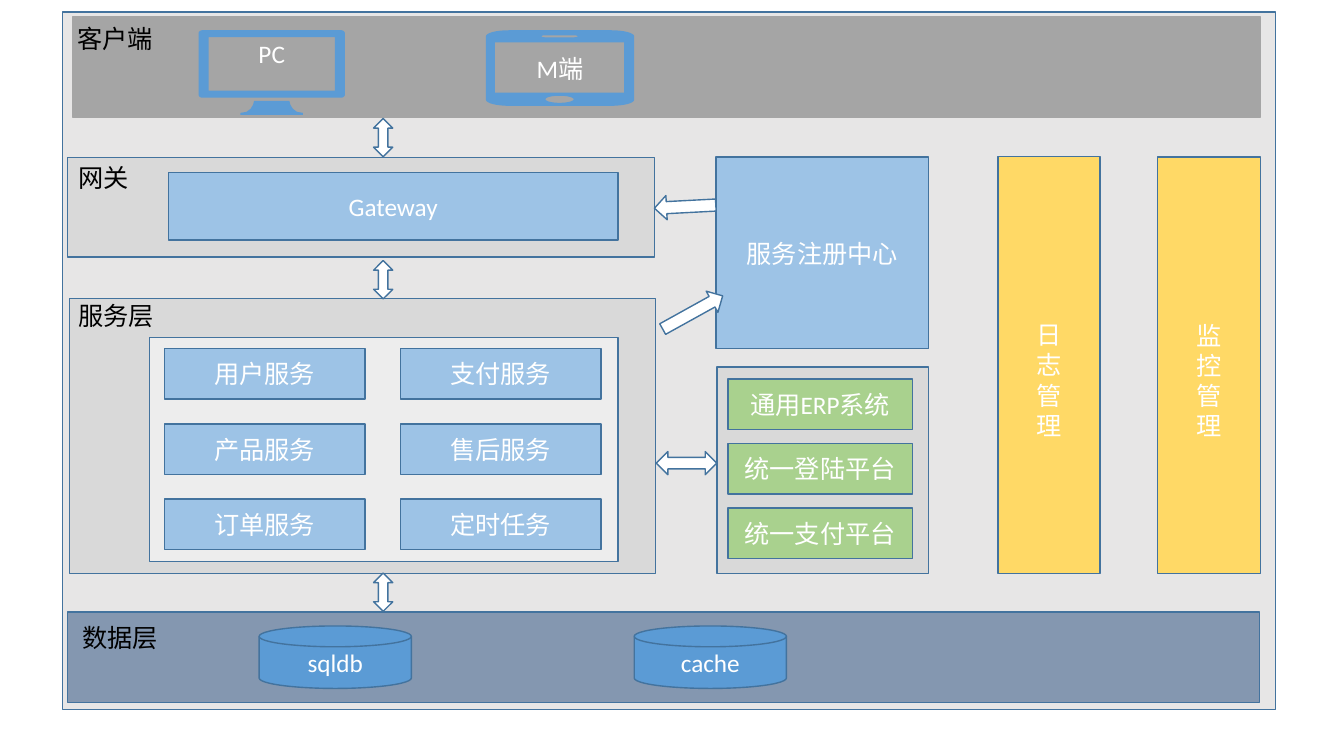
from math import cos, pi, sin

from pptx import Presentation
from pptx.dml.color import RGBColor
from pptx.enum.shapes import MSO_SHAPE
from pptx.enum.text import MSO_ANCHOR, PP_ALIGN
from pptx.util import Emu, Inches, Pt

CELL = Inches(0.1)
EDGE, WHITE, BLUE, SKY = "43739E", "FFFFFF", "5B9BD5", "9DC3E6"
GREY, GREEN, GOLD, SLATE = "D9D9D9", "A9D18E", "FFD966", "8497B0"
RECT, STEP, DISK = MSO_SHAPE.RECTANGLE, MSO_SHAPE.FLOWCHART_PROCESS, MSO_SHAPE.FLOWCHART_MAGNETIC_DISK
BOTH, RIGHT = MSO_SHAPE.LEFT_RIGHT_ARROW, MSO_SHAPE.RIGHT_ARROW


def color(code):
    """Turn a hex string into a colour."""
    return RGBColor.from_string(code)


def grid(*cells):
    """Turn grid cells into lengths."""
    return [Emu(round(cell * CELL)) for cell in cells]


def write(shape, text, code=WHITE, align=PP_ALIGN.CENTER):
    """Put formatted text into a shape."""
    frame = shape.text_frame
    frame.word_wrap = True
    frame.text = text
    for line in frame.paragraphs:
        line.alignment = align
        for run in line.runs:
            run.font.size, run.font.name = Pt(18), "Calibri"
            run.font.color.rgb = color(code)


def paint(shape, fill, edge=EDGE, text=""):
    """Set fill, line and centred text."""
    shape.shadow.inherit = False
    shape.fill.solid()
    shape.fill.fore_color.rgb = color(fill)
    if edge:
        shape.line.color.rgb = color(edge)
        shape.line.width = Pt(1)
    else:
        shape.line.fill.background()
    shape.text_frame.vertical_anchor = MSO_ANCHOR.MIDDLE
    if text:
        write(shape, text)


def box(slide, area, fill, text="", kind=RECT, edge=EDGE):
    """Add a filled preset shape."""
    shape = slide.shapes.add_shape(kind, *grid(*area))
    paint(shape, fill, edge, text)
    return shape


def label(slide, left, top, text):
    """Add the name of a layer."""
    shape = slide.shapes.add_textbox(*grid(left, top, 16.3, 4))
    write(shape, text, "000000", PP_ALIGN.LEFT)


def pillar(slide, area, text):
    """Add a tall box with one character a line."""
    shape = box(slide, area, GOLD, "\n".join(text), STEP)
    shape.text_frame.margin_top = Inches(0.35)


def arrow(slide, area, kind=BOTH, turn=0):
    """Add a white block arrow."""
    box(slide, area, WHITE, kind=kind).rotation = turn


def loop(left, top, wide, high, rx=0, ry=0):
    """List the points of a box with rounded corners."""
    hubs = [(left + wide - rx, top + high - ry), (left + rx, top + high - ry),
            (left + rx, top + ry), (left + wide - rx, top + ry)]
    steps = range(9) if rx else [0]
    return [(x + rx * cos((n + k / 8) * pi / 2), y + ry * sin((n + k / 8) * pi / 2))
            for n, (x, y) in enumerate(hubs) for k in steps]


def device(slide, loops, text):
    """Add an outline with holes."""
    paths = [[grid(*spot) for spot in path] for path in loops]
    pen = slide.shapes.build_freeform(*paths[0][0])
    for n, path in enumerate(paths):
        if n:
            pen.move_to(*path[0])
        pen.add_line_segments(path[1:], close=True)
    shape = pen.convert_to_shape()
    paint(shape, BLUE, None, text)
    return shape


def clients(slide):
    """Draw the desktop and the tablet."""
    mid = 26.95
    half = [(1.75, 10), (1.85, 10.4), (2.1, 10.8), (2.5, 11.1), (3.1, 11.2), (3.1, 11.4)]
    stand = [(mid + x, y) for x, y in half] + [(mid - x, y) for x, y in reversed(half)]
    screen = [loop(19.7, 3, 14.5, 6.7, 0.4, 0.3), loop(20.7, 3.7, 12.5, 5.3)[::-1]]
    desk = device(slide, screen + [stand], "PC")
    desk.text_frame.margin_bottom = Inches(0.43)
    holes = [loop(49.1, 4.2, 12.8, 5), loop(53.7, 3.5, 3.6, 0.2, 0.4, 0.1),
             loop(54.1, 9.5, 2.8, 0.7, 1.4, 0.35)]
    device(slide, [loop(48.2, 3, 14.7, 7.5, 2.3, 0.6)] + [h[::-1] for h in holes], "M端")


def layers(slide):
    """Draw the background and the four layers."""
    box(slide, (6.2, 1.2, 120.3, 69.2), "E7E6E6")
    box(slide, (7.2, 1.7, 117.8, 9.9), "A5A5A5", kind=STEP, edge="A5A5A5")
    for area, fill in [((6.7, 15.6, 58.2, 9.9), GREY), ((6.9, 29.6, 58.1, 27.3), GREY),
                       ((6.7, 60.7, 118.2, 9), SLATE)]:
        box(slide, area, fill, kind=STEP)
    for left, top, text in [(6.7, 1.8, "客户端"), (6.8, 15.6, "网关"),
                            (6.8, 29.3, "服务层"), (7.2, 61.2, "数据层")]:
        label(slide, left, top, text)


def parts(slide):
    """Draw the services, stores and platforms."""
    box(slide, (71, 15.6, 21.1, 19), SKY, "服务注册中心", STEP)
    pillar(slide, (99, 15.5, 10.1, 41.4), "日志管理")
    pillar(slide, (114.8, 15.6, 10.2, 41.3), "监控管理")
    for left, text in [(25.7, "sqldb"), (62.9, "cache")]:
        box(slide, (left, 62.1, 15.1, 6.2), BLUE, text, DISK)
    box(slide, (16.7, 17.1, 44.6, 6.7), SKY, "Gateway")
    box(slide, (14.8, 33.5, 46.5, 22.2), "EDEDED")
    names = ["用户服务", "支付服务", "产品服务", "售后服务", "订单服务", "定时任务"]
    for n, text in enumerate(names):
        row, col = divmod(n, 2)
        box(slide, (16.3 + 23.4 * col, 34.6 + 7.45 * row, 19.9, 5), SKY, text)
    box(slide, (71.1, 36.4, 21, 20.5), GREY)
    for row, text in enumerate(["通用ERP系统", "统一登陆平台", "统一支付平台"]):
        box(slide, (72.2, 37.6 + 6.4 * row, 18.3, 5), GREEN, text)


def arrows(slide):
    """Draw the arrows between the parts."""
    for top in (12.7, 26.8, 57.8):
        arrow(slide, (36.1, top, 3.8, 1.9), turn=270)
    arrow(slide, (65.1, 44.8, 6, 2.3))
    arrow(slide, (65.3, 29.8, 6.8, 2.4), RIGHT, 331)
    arrow(slide, (64.9, 19.3, 6.1, 2.4), RIGHT, 177)


def main():
    """Build and save the slide."""
    deck = Presentation()
    deck.slide_width, deck.slide_height = Inches(13.33), Inches(7.5)
    slide = deck.slides.add_slide(deck.slide_layouts[6])
    for draw in (layers, clients, parts, arrows):
        draw(slide)
    deck.save("out.pptx")


main()
